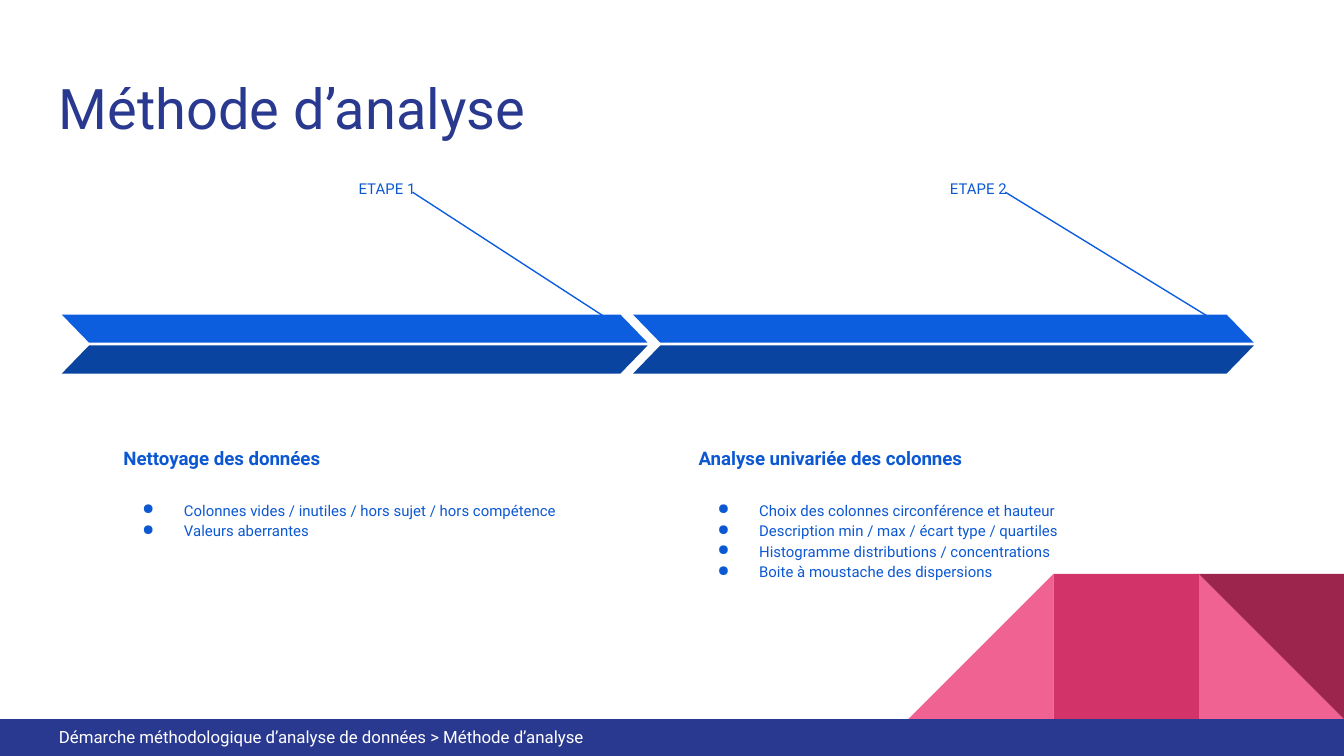
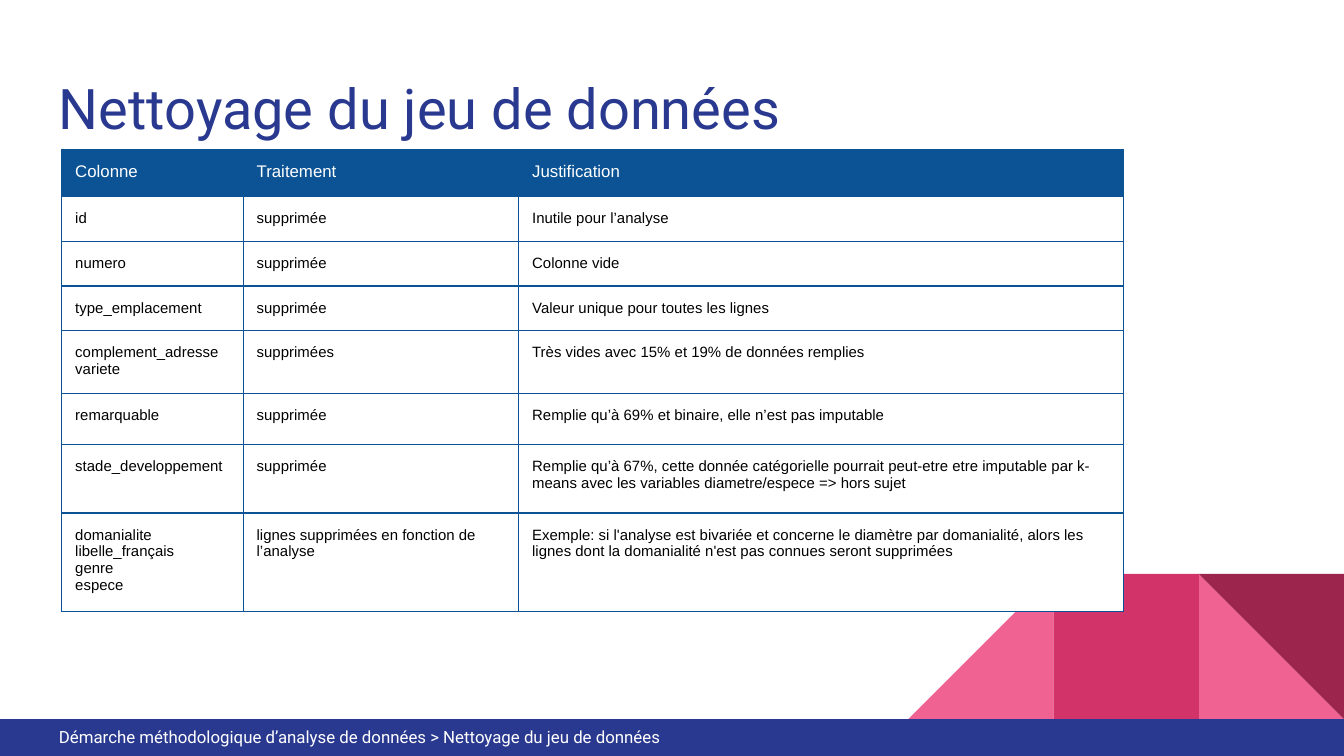
from dataclasses import dataclass

from lxml import etree
from pptx import Presentation
from pptx.dml.color import RGBColor
from pptx.enum.shapes import MSO_CONNECTOR, MSO_SHAPE
from pptx.enum.text import MSO_ANCHOR, MSO_AUTO_SIZE, PP_ALIGN
from pptx.oxml.ns import qn
from pptx.util import Inches, Pt

RECTANGLE = MSO_SHAPE.RECTANGLE
RIGHT_TRIANGLE = MSO_SHAPE.RIGHT_TRIANGLE
PARALLELOGRAM = MSO_SHAPE.PARALLELOGRAM
STRAIGHT = MSO_CONNECTOR.STRAIGHT
TOP, BOTTOM = MSO_ANCHOR.TOP, MSO_ANCHOR.BOTTOM
LEFT, RIGHT = PP_ALIGN.LEFT, PP_ALIGN.RIGHT
GROW = MSO_AUTO_SIZE.SHAPE_TO_FIT_TEXT

NAVY = "2A3990"
PINK = "F06292"
RASPBERRY = "D23369"
BURGUNDY = "9C254D"
TEXT_BLUE = "0C58D3"
BAR_LIGHT = "0D5DDF"
BAR_DARK = "0944A1"
TABLE_BLUE = "0B5394"
WHITE = "FFFFFF"
BLACK = "000000"

SECTION = "Démarche méthodologique d’analyse de données"
TILE = 1.08
TILE_TOP = 4.27
FOOTER_TOP = 5.35


@dataclass
class Stage:
    label: str
    heading: str
    points: list
    label_left: float
    label_width: float
    leader_left: float
    heading_left: float
    heading_width: float
    bar_left: float
    bar_width: float


STAGES = [
    Stage("ETAPE 1", "Nettoyage des données",
          ["Colonnes vides / inutiles / hors sujet / hors compétence",
           "Valeurs aberrantes"],
          1.7, 1.49, 3.07, 0.82, 3.58, 0.46, 4.36),
    Stage("ETAPE 2", "Analyse univariée des colonnes",
          ["Choix des colonnes circonférence et hauteur",
           "Description min / max / écart type / quartiles",
           "Histogramme distributions / concentrations",
           "Boite à moustache des dispersions"],
          6.02, 1.57, 7.48, 5.1, 3.79, 4.71, 4.62),
]

COLUMN_WIDTHS = [1.35, 2.05, 4.5]
ROW_HEIGHTS = [0.33, 0.25, 0.25, 0.25, 0.38, 0.38, 0.51, 0.64]
CLEANING_ROWS = [
    ("Colonne", "Traitement", "Justification"),
    ("id", "supprimée", "Inutile pour l’analyse"),
    ("numero", "supprimée", "Colonne vide"),
    ("type_emplacement", "supprimée", "Valeur unique pour toutes les lignes"),
    ("complement_adresse\nvariete", "supprimées",
     "Très vides avec 15% et 19% de données remplies"),
    ("remarquable", "supprimée",
     "Remplie qu’à 69% et binaire, elle n’est pas imputable"),
    ("stade_developpement", "supprimée",
     "Remplie qu’à 67%, cette donnée catégorielle pourrait peut-etre etre "
     "imputable par k-means avec les variables diametre/espece => hors sujet"),
    ("domanialite\nlibelle_français\ngenre\nespece",
     "lignes supprimées en fonction de l’analyse",
     "Exemple: si l'analyse est bivariée et concerne le diamètre par "
     "domanialité, alors les lignes dont la domanialité n'est pas connues "
     "seront supprimées"),
]


def color(value):
    return RGBColor.from_string(value)


def box(left, top, width, height):
    return [Inches(value) for value in (left, top, width, height)]


def set_fill(target, value):
    target.fill.solid()
    target.fill.fore_color.rgb = color(value)


def set_font(paragraph, size, value, name="Roboto", bold=False):
    for run in paragraph.runs:
        run.font.size = Pt(size)
        run.font.name = name
        run.font.bold = bold
        run.font.color.rgb = color(value)


def set_bullet(paragraph, value):
    properties = paragraph._p.get_or_add_pPr()
    properties.set("marL", str(Inches(0.5)))
    properties.set("indent", str(Inches(-0.31)))
    bullet_color = etree.SubElement(properties, qn("a:buClr"))
    etree.SubElement(bullet_color, qn("a:srgbClr")).set("val", value)
    etree.SubElement(properties, qn("a:buChar")).set("char", "●")


def add_block(slide, shape_type, place, fill, flip=False, rotation=0):
    shape = slide.shapes.add_shape(shape_type, *box(*place))
    shape.shadow.inherit = False
    shape.line.fill.background()
    shape.rotation = rotation
    set_fill(shape, fill)
    if flip:
        shape.element.spPr.find(qn("a:xfrm")).set("flipH", "1")
    return shape


def add_text(slide, place, text, size, value, bold=False, anchor=TOP,
             align=LEFT, spacing=None, after=None, bullets=False, inset=0.1):
    shape = slide.shapes.add_textbox(*box(*place))
    frame = shape.text_frame
    frame.word_wrap = True
    frame.vertical_anchor = anchor
    frame.margin_left = frame.margin_right = Inches(0.1)
    frame.margin_top = frame.margin_bottom = Inches(inset)
    frame.text = text
    for paragraph in frame.paragraphs:
        paragraph.alignment = align
        paragraph.line_spacing = spacing
        paragraph.space_after = after
        if bullets:
            set_bullet(paragraph, value)
        set_font(paragraph, size, value, bold=bold)
    return shape


def add_leader(slide, left, top, right, bottom):
    connector = slide.shapes.add_connector(
        STRAIGHT, *box(left, top, right, bottom))
    connector.line.color.rgb = color(BAR_LIGHT)
    connector.line.width = Pt(0.75)
    etree.SubElement(connector._element.spPr, qn("a:effectLst"))


def set_borders(cell, value, width):
    properties = cell._tc.get_or_add_tcPr()
    for index, side in enumerate(("lnL", "lnR", "lnT", "lnB")):
        line = etree.Element(qn(f"a:{side}"), w=str(Pt(width)))
        fill = etree.SubElement(line, qn("a:solidFill"))
        etree.SubElement(fill, qn("a:srgbClr")).set("val", value)
        properties.insert(index, line)


def add_table(slide, left, top, rows):
    place = box(left, top, sum(COLUMN_WIDTHS), sum(ROW_HEIGHTS))
    table = slide.shapes.add_table(
        len(rows), len(COLUMN_WIDTHS), *place).table
    table.first_row = table.horz_banding = False
    for column, width in zip(table.columns, COLUMN_WIDTHS):
        column.width = Inches(width)
    for row, height in zip(table.rows, ROW_HEIGHTS):
        row.height = Inches(height)
    for row_index, texts in enumerate(rows):
        header = row_index == 0
        for column_index, text in enumerate(texts):
            cell = table.cell(row_index, column_index)
            cell.margin_left = cell.margin_right = Inches(0.1)
            cell.margin_top = cell.margin_bottom = Inches(0.1)
            set_fill(cell, TABLE_BLUE if header else WHITE)
            set_borders(cell, TABLE_BLUE, 0.75)
            cell.text_frame.text = text
            for paragraph in cell.text_frame.paragraphs:
                set_font(paragraph, 9 if header else 8,
                         WHITE if header else BLACK, "Arial")


def add_stage(slide, stage):
    add_text(slide, (stage.label_left, 1.24, stage.label_width, 0.36),
             stage.label, 8, TEXT_BLUE, align=RIGHT, spacing=1.15,
             after=Pt(16))
    add_text(slide, (stage.heading_left, 2.92, stage.heading_width, 0.67),
             stage.heading, 10, TEXT_BLUE, bold=True, anchor=BOTTOM,
             spacing=1.15)
    add_text(slide, (stage.heading_left - 0.05, 3.61,
                     stage.heading_width + 0.1, 1.1),
             "\n".join(stage.points), 8, TEXT_BLUE, spacing=1.15,
             bullets=True)
    bar_right = stage.bar_left + stage.bar_width
    add_leader(slide, stage.leader_left, 1.43, bar_right - 0.04, 2.54)
    for top, fill, flip in ((2.34, BAR_LIGHT, True), (2.57, BAR_DARK, False)):
        bar = add_block(slide, PARALLELOGRAM,
                        (stage.bar_left, top, stage.bar_width, 0.21),
                        fill, flip)
        bar.adjustments[0] = 0.97


def add_base_slide(presentation, title):
    slide = presentation.slides.add_slide(presentation.slide_layouts[6])
    set_fill(slide.background, WHITE)
    tiles = [
        (1, RIGHT_TRIANGLE, PINK, False, 0),
        (3, RIGHT_TRIANGLE, PINK, True, 0),
        (2, RECTANGLE, RASPBERRY, False, 0),
        (1, RIGHT_TRIANGLE, BURGUNDY, False, 180),
    ]
    for from_right, shape_type, fill, flip, rotation in tiles:
        place = (10 - from_right * TILE, TILE_TOP, TILE, TILE)
        add_block(slide, shape_type, place, fill, flip, rotation)
    add_block(slide, RECTANGLE, (0, FOOTER_TOP, 10, 0.28), NAVY)
    add_text(slide, (0.34, 0.45, 9.32, 0.66), title, 30, NAVY)
    footer = add_text(slide, (0.34, 5.39, 9.54, 0.19),
                      f"{SECTION} > {title}", 9, WHITE, inset=0.02)
    footer.text_frame.auto_size = GROW
    return slide


def main():
    presentation = Presentation()
    presentation.slide_width = Inches(10)
    presentation.slide_height = Inches(5.625)

    method_slide = add_base_slide(presentation, "Méthode d’analyse")
    for stage in STAGES:
        add_stage(method_slide, stage)

    cleaning_slide = add_base_slide(presentation, "Nettoyage du jeu de données")
    add_table(cleaning_slide, 0.46, 1.11, CLEANING_ROWS)

    presentation.save("out.pptx")


if __name__ == "__main__":
    main()
